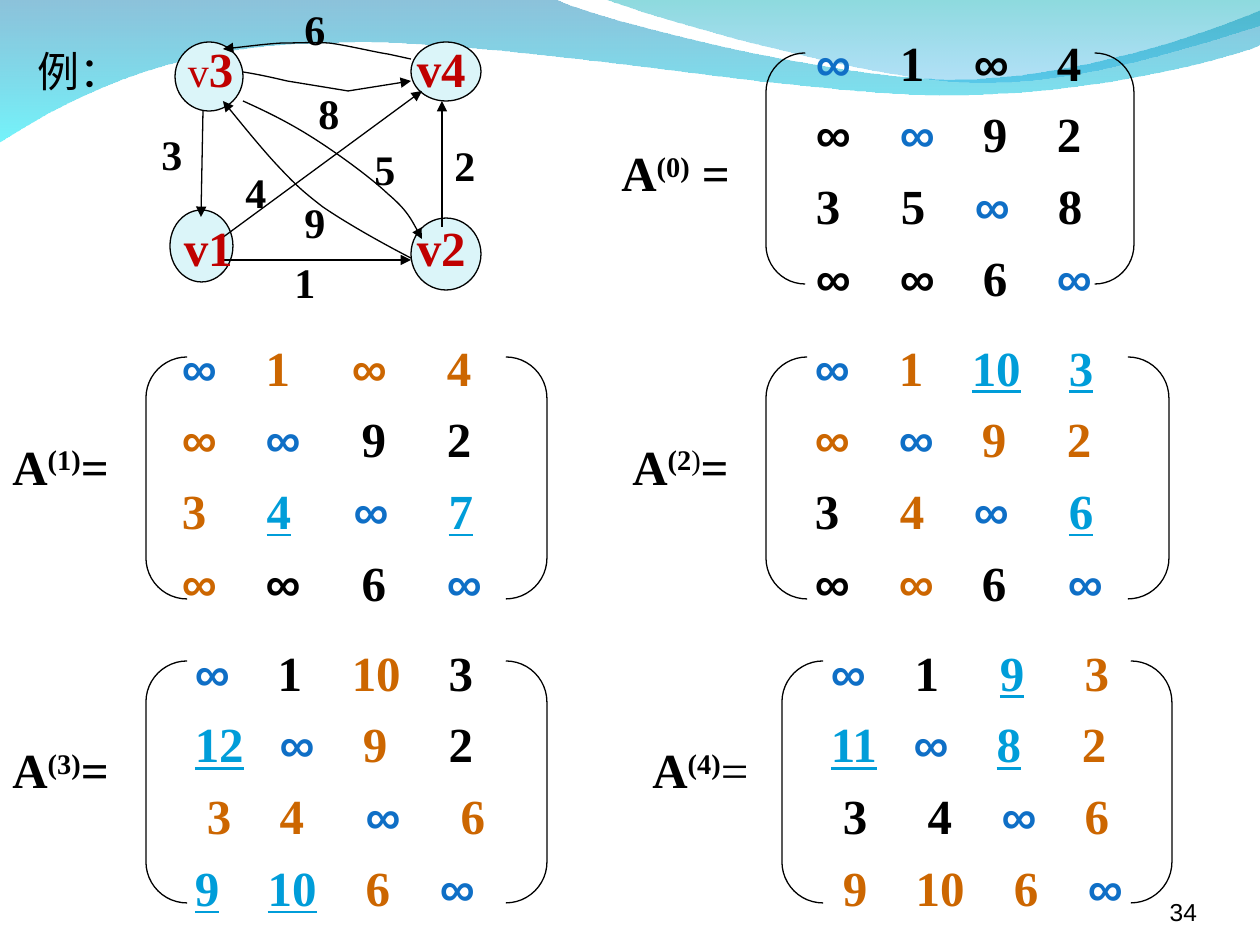
from pptx import Presentation
from pptx.dml.color import RGBColor
from pptx.enum.shapes import MSO_CONNECTOR, MSO_SHAPE
from pptx.enum.text import MSO_ANCHOR, PP_ALIGN
from pptx.oxml.ns import qn
from pptx.util import Pt
from lxml.etree import SubElement

PX = 914400 / 126
INSET = 12.6  # default left inset of a text box
SERIF, SANS = "Times New Roman", "Arial"
COLOURS = {
    "black": "000000", "diagonal": "0F6FC6", "orange": "CC6600",
    "updated": "009DD9", "node": "DBF5F9", "node text": "C00000",
}
# Last letter of each matrix entry
TONES = {"k": "black", "d": "diagonal", "o": "orange", "u": "updated"}

presentation = Presentation()
presentation.slide_width = round(1260 * PX)
presentation.slide_height = round(945 * PX)
slide = presentation.slides.add_slide(presentation.slide_layouts[6])
shapes = slide.shapes


def add_run(paragraph, text, size=28, colour="black", bold=True, font=SERIF):
    run = paragraph.add_run()
    run.text = text
    run.font.size = Pt(size)
    run.font.bold = bold
    run.font.name = font
    run.font.color.rgb = RGBColor.from_string(COLOURS[colour])
    return run


def add_curve(start, segments, closed=False):
    """Draw segments of one point (straight) or three points (cubic Bézier)."""
    points = [(x * PX, y * PX) for segment in segments for x, y in segment]
    builder = shapes.build_freeform(start[0] * PX, start[1] * PX)
    builder.add_line_segments(points, close=closed)
    shape = builder.convert_to_shape()
    shape.shadow.inherit = False
    lines = iter(list(shape._element.iter(qn("a:lnTo"))))
    for segment in segments:
        first, *others = [next(lines) for _ in segment]
        if others:
            first.tag = qn("a:cubicBezTo")
            for other in others:
                first.append(other[0])
                other.getparent().remove(other)
    return shape


# Waves at the top
waves = [
    ((0, -1), [
        [(554, -1)],
        [(600, 21), (837, 79), (955, 79)],
        [(1074, 79), (1207, 33), (1260, 11)],
        [(1261, 45)],
        [(1239, 55), (1096, 96), (940, 95)],
        [(784, 94), (481, 35), (324, 43)],
        [(163, 44), (58, 105), (-1, 142)],
    ], [("0079AF", 45), ("00EBF8", 55)]),
    ((604, -1), [
        [(641, 14), (859, 78), (969, 82)],
        [(1079, 87), (1211, 40), (1260, 26)],
        [(1260, 0)],
    ], [("00ADB6", 45), ("009BE5", 30)]),
]
for start, segments, stops in waves:
    wave = add_curve(start, segments, closed=True)
    wave.line.fill.background()
    wave.fill.gradient()
    wave.fill.gradient_angle = 270
    for stop, (colour, _) in zip(wave.fill.gradient_stops, stops):
        stop.color.rgb = RGBColor.from_string(colour)
    for element, (_, opacity) in zip(wave._element.spPr.iter(qn("a:srgbClr")), stops):
        SubElement(element, qn("a:alpha")).set("val", str(opacity * 1000))

# Slide number
frame = shapes.add_textbox(*[round(v * PX) for v in (1092, 876, 105, 50)]).text_frame
frame.word_wrap = True
frame.margin_left = frame.margin_right = frame.margin_top = frame.margin_bottom = 0
frame.vertical_anchor = MSO_ANCHOR.BOTTOM
frame.paragraphs[0].alignment = PP_ALIGN.RIGHT
add_run(frame.paragraphs[0], "34", 14, bold=False, font=SANS)

# Matrices: name box, name runs as (text, bold), text box, bracket box, tab stops and entries
matrices = [
    ((609, 136, 147, 72), [("A", True), ("(0)", True), (" =", True)],
     (766, 42, 441, 270), (766, 53, 368, 231), [
        ([816, 900, 974, 1057], "∞d 1k ∞k 4k"), ([816, 900, 983, 1057], "∞k ∞d 9k 2k"),
        ([816, 901, 975, 1058], "3k 5k ∞d 8k"), ([816, 900, 983, 1057], "∞k ∞k 6k ∞d")]),
    ((0, 661, 135, 144), [("A", True), ("(3)", True), ("=", True)],
     (158, 652, 480, 270), (146, 661, 401, 242), [
        ([195, 278, 352, 449], "∞d 1k 10o 3k"), ([195, 280, 363, 449], "12u ∞d 9o 2k"),
        ([207, 280, 366, 461], "3o 4o ∞d 6o"), ([195, 268, 366, 440], "9u 10u 6o ∞d")]),
    ((620, 357, 136, 144), [("A", True), ("(2", True), (")", False), ("=", True)],
     (777, 347, 483, 270), (766, 357, 403, 242), [
        ([815, 899, 972, 1069], "∞d 1o 10u 3u"), ([815, 899, 982, 1067], "∞o ∞d 9o 2o"),
        ([815, 900, 974, 1069], "3k 4o ∞d 6u"), ([815, 899, 982, 1068], "∞k ∞o 6k ∞d")]),
    ((640, 661, 131, 144), [("A", True), ("(4)", True), ("=", False)],
     (794, 652, 466, 270), (782, 661, 390, 242), [
        ([831, 915, 1000, 1085], "∞d 1k 9u 3o"), ([831, 914, 997, 1082], "11u ∞d 8u 2o"),
        ([843, 928, 1002, 1085], "3k 4k ∞d 6o"), ([843, 916, 1014, 1088], "9o 10o 6o ∞d")]),
    ((0, 357, 135, 144), [("A", True), ("(1)", True), ("=", True)],
     (158, 347, 480, 270), (146, 357, 401, 242), [
        ([182, 266, 352, 447], "∞d 1o ∞o 4o"), ([182, 266, 362, 447], "∞o ∞d 9k 2k"),
        ([182, 267, 354, 449], "3o 4u ∞d 7u"), ([182, 266, 362, 447], "∞o ∞k 6k ∞d")]),
]
for name_box, name_runs, text_box, bracket_box, rows in matrices:
    frame = shapes.add_textbox(*[round(v * PX) for v in name_box]).text_frame
    frame.word_wrap = True
    frame.vertical_anchor = MSO_ANCHOR.BOTTOM
    for text, bold in name_runs:
        run = add_run(frame.paragraphs[0], text, bold=bold)
        if "(" in text or ")" in text:
            run.font._element.set("baseline", "30000")

    frame = shapes.add_textbox(*[round(v * PX) for v in text_box]).text_frame
    frame.word_wrap = True
    for index, (stops, entries) in enumerate(rows):
        paragraph = frame.add_paragraph() if index else frame.paragraphs[0]
        tab_list = SubElement(paragraph._p.get_or_add_pPr(), qn("a:tabLst"))
        for stop in stops:
            tab = SubElement(tab_list, qn("a:tab"))
            tab.set("pos", str(round((stop - text_box[0] - INSET) * PX)))
            tab.set("algn", "l")
        paragraph.line_spacing = 0.7
        if index:
            paragraph.space_before = Pt(17.5)
        for entry in entries.split():
            text, tone = entry[:-1], entry[-1]
            if tone == "u":
                add_run(paragraph, "\t")
                add_run(paragraph, text, colour="updated").font.underline = True
            else:
                add_run(paragraph, "\t" + text, colour=TONES[tone],
                        font=SANS if text == "∞" else SERIF)

    bracket = shapes.add_shape(MSO_SHAPE.DOUBLE_BRACKET, *[round(v * PX) for v in bracket_box])
    bracket.adjustments[0] = 0.17
    bracket.shadow.inherit = False
    bracket.fill.background()
    bracket.line.color.rgb = RGBColor.from_string(COLOURS["black"])
    bracket.line.width = Pt(0.75)

# Graph nodes
for box in [(175, 42, 68, 69), (170, 210, 63, 72), (411, 42, 70, 59), (411, 218, 70, 72)]:
    node = shapes.add_shape(MSO_SHAPE.OVAL, *[round(v * PX) for v in box])
    node.shadow.inherit = False
    node.fill.solid()
    node.fill.fore_color.rgb = RGBColor.from_string(COLOURS["node"])
    node.line.color.rgb = RGBColor.from_string(COLOURS["black"])
    node.line.width = Pt(0.75)

# Graph edges
straight_edges = [
    (203, 111, 201, 217), (222, 238, 422, 91), (222, 260, 411, 260),
    (442, 227, 442, 101), (348, 91, 411, 81),
]
curved_edges = [
    ((411, 59), [[(406, 58), (402, 57), (388, 54)], [(374, 52), (346, 45), (329, 43)],
                 [(311, 42), (300, 43), (282, 43)], [(265, 44), (243, 47), (223, 49)]]),
    ((411, 258), [[(378, 241), (345, 222), (323, 207)], [(301, 190), (295, 184), (278, 166)],
                  [(262, 149), (232, 112), (223, 101)]]),
    ((243, 101), [[(265, 111), (286, 121), (310, 136)], [(334, 151), (369, 176), (388, 194)],
                  [(407, 210), (415, 226), (422, 239)]]),
    ((243, 72), [[(256, 74), (270, 77), (287, 81)], [(305, 84), (336, 89), (348, 91)]]),
]
edges = []
for ends in straight_edges:
    edge = shapes.add_connector(MSO_CONNECTOR.STRAIGHT, *[round(v * PX) for v in ends])
    edges.append(edge)
for start, segments in curved_edges:
    edge = add_curve(start, segments)
    edge.fill.background()
    edges.append(edge)
for edge in edges:
    edge.line.color.rgb = RGBColor.from_string(COLOURS["black"])
    edge.line.width = Pt(0.75)
    if edge is not edges[-1]:  # the last curve runs on into a straight arrow
        SubElement(edge.line._get_or_add_ln(), qn("a:tailEnd")).set("type", "triangle")
for edge in edges[:len(straight_edges)]:
    SubElement(edge._element.spPr, qn("a:effectLst"))

# Edge weights
weights = [
    ("3", 149, 122), ("1", 282, 250), ("9", 292, 190), ("5", 362, 137),
    ("4", 233, 160), ("8", 306, 81), ("6", 292, -3), ("2", 442, 133),
]
for weight, left, top in weights:
    frame = shapes.add_textbox(*[round(v * PX) for v in (left, top, 42, 63)]).text_frame
    frame.word_wrap = True
    add_run(frame.paragraphs[0], weight, 24)

# Example heading and node names
frame = shapes.add_textbox(*[round(v * PX) for v in (25, 32, 496, 251)]).text_frame
frame.word_wrap = True
name_rows = [
    ([188, 417], [("例：\t", 24, "black", False), ("v", 24, "node text", False),
                  ("3\tv4", 28, "node text")]),
    ([184, 417], [("\tv1\tv2", 28, "node text")]),
]
for index, (stops, runs) in enumerate(name_rows):
    paragraph = frame.add_paragraph() if index else frame.paragraphs[0]
    tab_list = SubElement(paragraph._p.get_or_add_pPr(), qn("a:tabLst"))
    for stop in stops:
        tab = SubElement(tab_list, qn("a:tab"))
        tab.set("pos", str(round((stop - 25 - INSET) * PX)))
        tab.set("algn", "l")
    if index:
        paragraph.space_before = Pt(69)
    for details in runs:
        add_run(paragraph, *details)

presentation.save("out.pptx")
